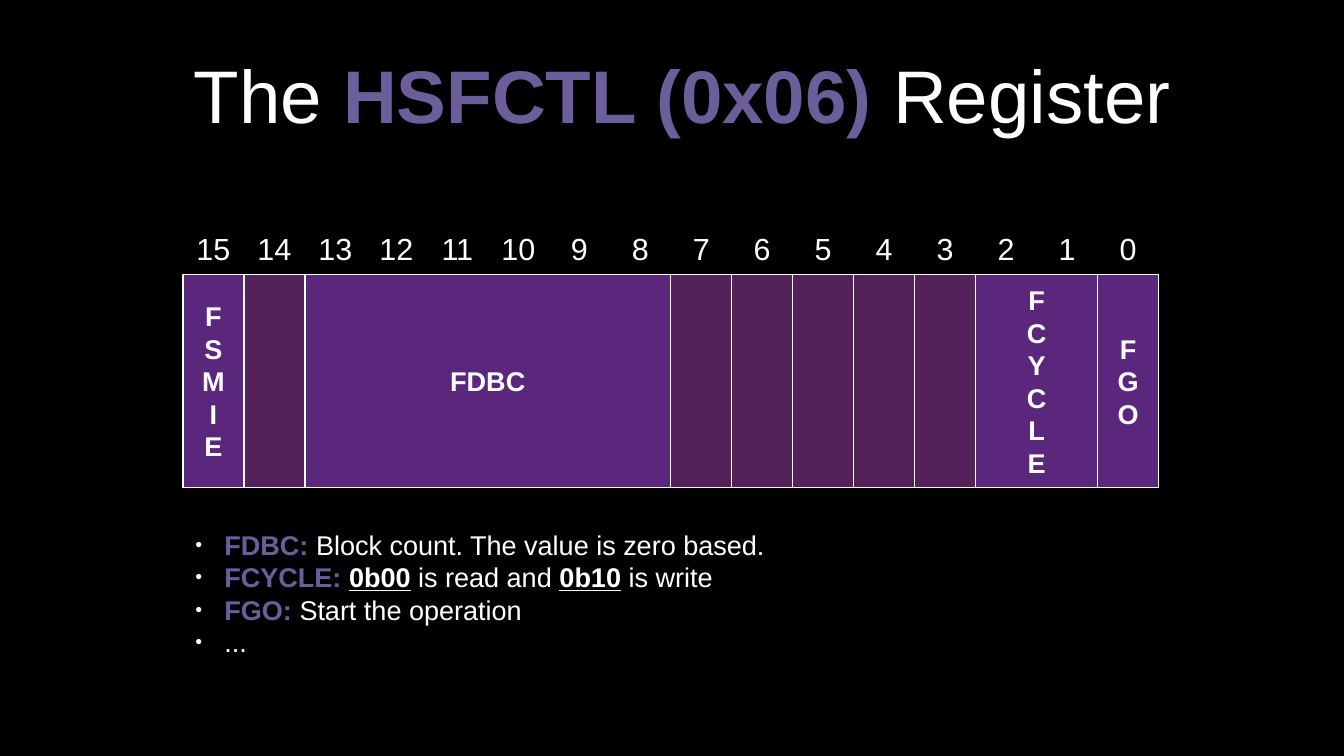
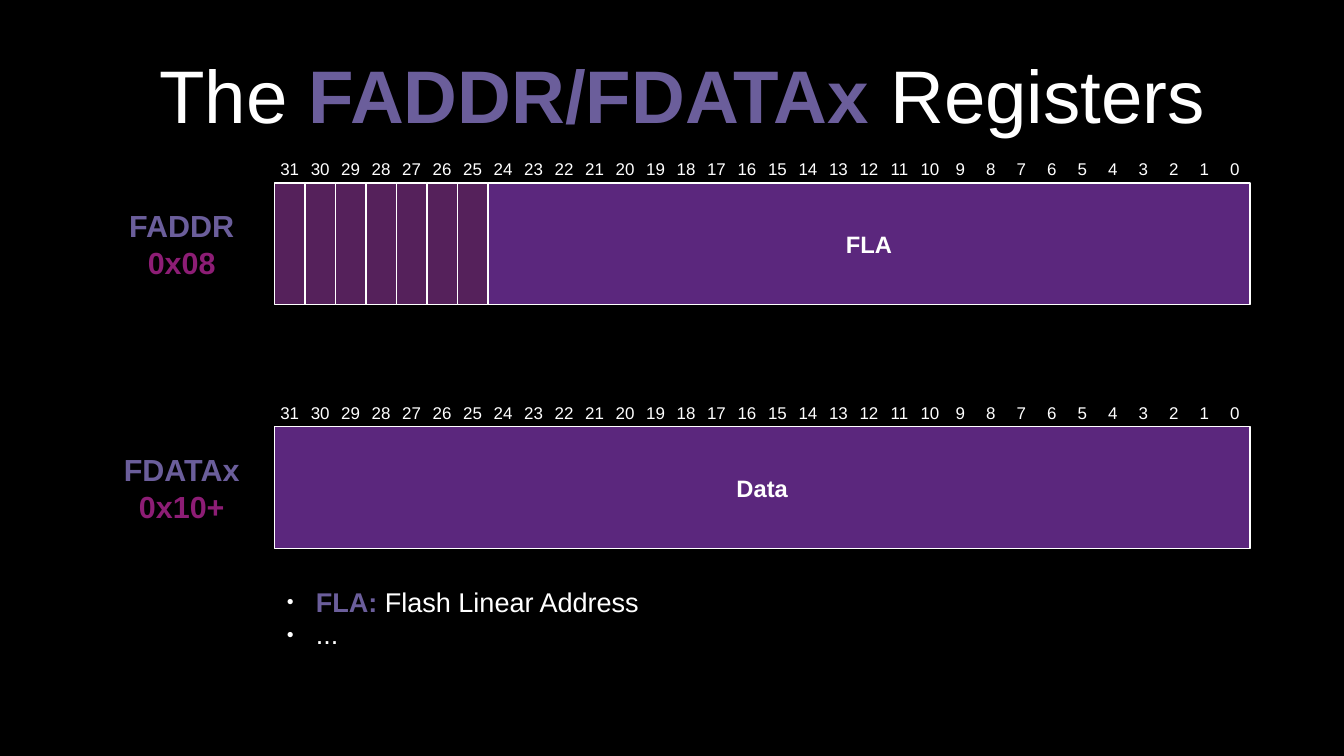
from dataclasses import dataclass

from lxml.etree import SubElement
from pptx import Presentation
from pptx.dml.color import RGBColor
from pptx.enum.shapes import MSO_SHAPE as Shape
from pptx.enum.text import MSO_ANCHOR as Anchor, MSO_AUTO_SIZE as AutoSize, PP_ALIGN as Align
from pptx.oxml.ns import qn
from pptx.util import Inches, Pt

# Shared look
FONT = "Arial"
BLACK, WHITE = "000000", "FFFFFF"
LILAC, MAGENTA = "6B5E9B", "8D1D75"
USED, RESERVED = "5B277D", "55215B"
STEP = 0.25  # inches per grid column and row


@dataclass(frozen=True)
class Span:
    text: str
    color: str = WHITE
    bold: bool = False
    underline: bool = False


@dataclass(frozen=True)
class Field:
    bits: int
    label: str = ""
    stacked: bool = False


@dataclass(frozen=True)
class Register:
    """Places and sizes are in grid columns and rows."""
    fields: list[Field]
    left: float
    top: float
    bit_width: float
    height: float
    scale_top: float
    scale_height: float
    scale_size: int
    label_size: int
    name: str = ""
    address: str = ""


def rgb(value: str) -> RGBColor:
    return RGBColor.from_string(value)


def grid(steps: float) -> int:
    return Inches(steps * STEP)


def place(box, left: float, top: float, width: float, height: float) -> None:
    box.left, box.top, box.width, box.height = map(grid, (left, top, width, height))


def write(frame, lines: list[list[Span]], size: int, align=Align.LEFT, anchor=Anchor.TOP) -> None:
    frame.word_wrap = True
    frame.auto_size = AutoSize.NONE
    frame.vertical_anchor = anchor
    for index, line in enumerate(lines):
        para = frame.add_paragraph() if index else frame.paragraphs[0]
        para.alignment = align
        para.space_before = Pt(0)
        for span in line:
            run = para.add_run()
            run.text = span.text
            font = run.font
            font.name, font.size = FONT, Pt(size)
            font.bold, font.underline = span.bold, span.underline
            font.color.rgb = rgb(span.color)


def add_text(page, left: float, top: float, width: float, height: float):
    return page.shapes.add_textbox(*map(grid, (left, top, width, height))).text_frame


def add_title(page, subject: str, ending: str) -> None:
    title = page.shapes.title
    title.left, title.top = Inches(0.55), Inches(0.25)
    title.width, title.height = Inches(9.92), Inches(1.04)
    frame = title.text_frame
    frame.margin_left = Inches(0.17)
    frame.margin_right = frame.margin_top = frame.margin_bottom = 0
    spans = [Span("The "), Span(subject + " ", LILAC, bold=True), Span(ending)]
    write(frame, [spans], 44, Align.CENTER, Anchor.MIDDLE)


def add_list(page, left: float, top: float, lines: list[list[Span]]) -> None:
    body = page.placeholders[1]
    place(body, left, top, 32, 5.32)
    write(body.text_frame, lines, 16)
    for para in body.text_frame.paragraphs:
        props = para._p.get_or_add_pPr()
        props.set("marL", str(Inches(0.24)))
        props.set("indent", str(-Inches(0.24)))
        bullet_color = SubElement(props, qn("a:buClr"))
        SubElement(bullet_color, qn("a:srgbClr"), val=WHITE)
        SubElement(props, qn("a:buSzPct"), val="45000")
        SubElement(props, qn("a:buFont"), typeface=FONT)
        SubElement(props, qn("a:buChar"), char="●")


def add_scale(page, register: Register, bits: int) -> None:
    """Number the bits, each centred over its cell by a tab stop."""
    frame = add_text(page, register.left, register.scale_top,
                     bits * register.bit_width, register.scale_height)
    frame.margin_left = frame.margin_right = 0
    numbers = "".join(f"\t{bit}" for bit in reversed(range(bits)))
    write(frame, [[Span(numbers)]], register.scale_size)
    stops = SubElement(frame.paragraphs[0]._p.get_or_add_pPr(), qn("a:tabLst"))
    for cell in range(bits):
        position = grid((cell + 0.5) * register.bit_width)
        SubElement(stops, qn("a:tab"), pos=str(position), algn="ctr")


def add_register(page, register: Register) -> None:
    # Fields, from the highest bit down
    left = register.left
    for field in register.fields:
        width = field.bits * register.bit_width
        box = page.shapes.add_shape(
            Shape.RECTANGLE, *map(grid, (left, register.top, width, register.height)))
        box.shadow.inherit = False
        box.fill.solid()
        box.fill.fore_color.rgb = rgb(USED if field.label else RESERVED)
        box.line.color.rgb = rgb(WHITE)
        box.line.width = Pt(0.79)
        if field.label:
            rows = list(field.label) if field.stacked else [field.label]
            write(box.text_frame, [[Span(row, bold=True)] for row in rows],
                  register.label_size, Align.CENTER, Anchor.MIDDLE)
        left += width

    add_scale(page, register, sum(field.bits for field in register.fields))

    # Name and offset at the left
    if register.name:
        frame = add_text(page, 3, register.top + 0.5, 5.92, 3)
        write(frame, [[Span(register.name, LILAC, bold=True)],
                      [Span(register.address, MAGENTA, bold=True)]],
              18, Align.CENTER, Anchor.MIDDLE)


def wide_register(top: float, name: str, address: str, fields: list[Field]) -> Register:
    return Register(fields, left=9, top=top, bit_width=1, height=4, scale_top=top - 1,
                    scale_height=1, scale_size=10, label_size=14, name=name, address=address)


def term(name: str) -> Span:
    return Span(f"{name}: ", LILAC, bold=True)


def value(text: str) -> Span:
    return Span(text, bold=True, underline=True)


deck = Presentation()
deck.slide_width, deck.slide_height = Inches(11.02), Inches(6.2)
backdrop = deck.slide_master.background.fill
backdrop.solid()
backdrop.fore_color.rgb = rgb(BLACK)
layout = deck.slide_layouts[1]

# Control register
page = deck.slides.add_slide(layout)
add_title(page, "HSFCTL (0x06)", "Register")
control = [Field(1, "FSMIE", stacked=True), Field(1), Field(6, "FDBC"),
           *[Field(1)] * 5,
           Field(2, "FCYCLE", stacked=True), Field(1, "FGO", stacked=True)]
add_register(page, Register(control, left=6, top=9, bit_width=2, height=7, scale_top=7.36,
                            scale_height=2, scale_size=18, label_size=16))
add_list(page, 6, 17.12, [
    [term("FDBC"), Span("Block count. The value is zero based.")],
    [term("FCYCLE"), value("0b00"), Span(" is read and "), value("0b10"), Span(" is write")],
    [term("FGO"), Span("Start the operation")],
    [Span("...")],
])

# Address and data registers
page = deck.slides.add_slide(layout)
add_title(page, "FADDR/FDATAx", "Registers")
add_register(page, wide_register(6, "FADDR", "0x08", [*[Field(1)] * 7, Field(25, "FLA")]))
add_register(page, wide_register(14, "FDATAx", "0x10+", [Field(32, "Data")]))
add_list(page, 9, 19, [
    [term("FLA"), Span("Flash Linear Address")],
    [Span("...")],
])

deck.save("out.pptx")
